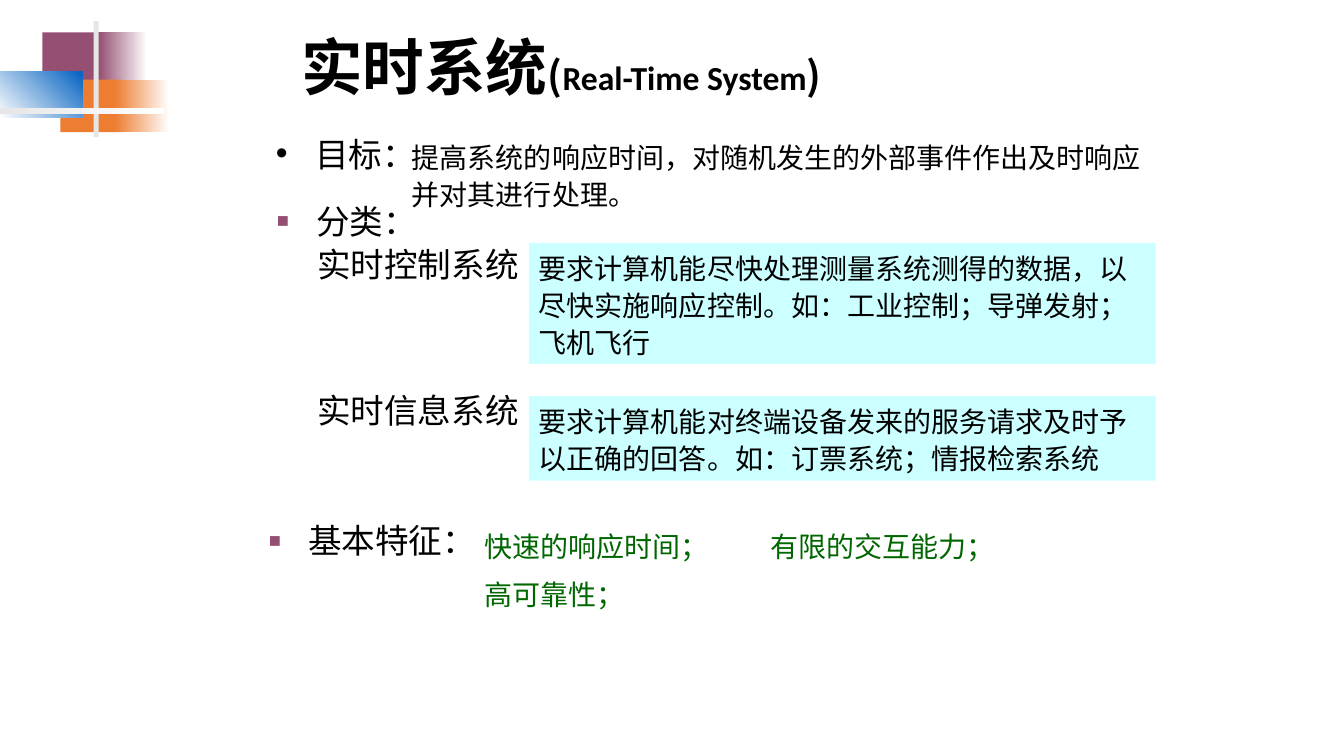
"""Build the slide on real-time systems."""
from lxml import etree
from pptx import Presentation
from pptx.dml.color import RGBColor
from pptx.enum.shapes import MSO_SHAPE
from pptx.enum.text import MSO_ANCHOR, PP_ALIGN
from pptx.oxml.ns import qn
from pptx.util import Inches, Pt

BLACK, GREEN, PURPLE, CYAN = "000000", "006600", "954F72", "CCFFFF"
ORANGE, BLUE, GREY, WHITE = "ED7D31", "0563C1", "E7E6E6", "FFFFFF"
CJK = "Noto Sans CJK SC"

DECOR = [
    ((0.42, 0.32, 0.64, 0.52), (PURPLE,), 0),
    ((0.98, 0.32, 0.48, 0.52), (PURPLE, WHITE), 0),
    ((0.6, 0.79, 0.61, 0.52), (ORANGE,), 0),
    ((1.14, 0.79, 0.54, 0.52), (ORANGE, WHITE), 0),
    ((0, 0.71, 0.82, 0.46), (WHITE, BLUE), 45),
    ((0.93, 0.21, 0.05, 1.15), (GREY,), 0),
    ((0, 1.07, 1.63, 0.06), (GREY, WHITE), 0),
]
TITLE = [("实时系统", 44, "Calibri"), ("(", 28, CJK),
         ("Real-Time System", 24, "Calibri"), (")", 28, CJK)]
HEADINGS = [
    ("目标：", (2.64, 1.39, 1.73, 0.39),
     dict(font="Calibri", spacing=0.7, bullet=("•", BLACK, 100))),
    ("分类：", (2.65, 2.02, 1.73, 0.47), dict(bullet=("■", PURPLE, 60))),
    ("基本特征：", (2.57, 5.19, 2.36, 0.47), dict(bullet=("■", PURPLE, 60))),
]
GOAL = "提高系统的响应时间，对随机发生的外部事件作出及时响应并对其进行处理。"
KINDS = [
    ("实时控制系统", 2.45,
     "要求计算机能尽快处理测量系统测得的数据，以尽快实施响应控制。如：工业控制；导弹发射；飞机飞行", 2.41, 1.2),
    ("实时信息系统", 3.9,
     "要求计算机能对终端设备发来的服务请求及时予以正确的回答。如：订票系统；情报检索系统", 3.93, 0.84),
]
FEATURES = [("快速的响应时间；", 4.71, 5.27, 2.42),
            ("有限的交互能力；", 7.55, 5.27, 2.42),
            ("高可靠性；", 4.71, 5.74, 1.59)]


def rgb(color):
    return RGBColor.from_string(color)


def add_rect(box, colors, angle=0):
    sp = s.shapes.add_shape(MSO_SHAPE.RECTANGLE, *map(Inches, box))
    sp.shadow.inherit = False
    sp.line.fill.background()
    if len(colors) == 1:
        sp.fill.solid()
        sp.fill.fore_color.rgb = rgb(colors[0])
    else:
        sp.fill.gradient()
        sp.fill.gradient_angle = angle
        for position, (stop, color) in enumerate(zip(sp.fill.gradient_stops, colors)):
            stop.position = position
            stop.color.rgb = rgb(color)
    return sp


def add_bullet(p, char, color, percent):
    pPr = p._p.get_or_add_pPr()
    pPr.set("marL", str(Inches(0.39)))
    pPr.set("indent", str(-Inches(0.39)))
    clr = etree.SubElement(pPr, qn("a:buClr"))
    etree.SubElement(clr, qn("a:srgbClr"), val=color)
    etree.SubElement(pPr, qn("a:buSzPct"), val=str(percent * 1000))
    etree.SubElement(pPr, qn("a:buFont"), typeface="Arial")
    etree.SubElement(pPr, qn("a:buChar"), char=char)


def add_run(p, text, size=24, font="Cabin", color=BLACK, bold=False):
    r = p.add_run()
    r.text = text
    r.font.size, r.font.name, r.font.bold = Pt(size), font, bold
    r.font.color.rgb = rgb(color)
    etree.SubElement(r.font._element, qn("a:ea"), typeface=CJK)


def write(sp, text, spacing=0.8, wrap=True, bullet=None, **style):
    tf = sp.text_frame
    tf.word_wrap = wrap
    tf.vertical_anchor = MSO_ANCHOR.TOP
    p = tf.paragraphs[0]
    if bullet:
        add_bullet(p, *bullet)
    p.alignment = PP_ALIGN.LEFT
    p.line_spacing = spacing
    add_run(p, text, **style)


def add_text(text, box, **style):
    write(s.shapes.add_textbox(*map(Inches, box)), text, **style)


prs = Presentation()
prs.slide_width, prs.slide_height = Inches(13.34), Inches(7.5)
s = prs.slides.add_slide(prs.slide_layouts[5])

for box, colors, angle in DECOR:
    add_rect(box, colors, angle)

title = s.shapes.title
title.left, title.top, title.width, title.height = map(Inches, (2.89, 0.21, 8.52, 0.97))
title.text_frame.vertical_anchor = MSO_ANCHOR.MIDDLE
p = title.text_frame.paragraphs[0]
p.alignment = PP_ALIGN.LEFT
p.line_spacing = 0.9
for text, size, font in TITLE:
    add_run(p, text, size=size, font=font, bold=True)

for text, box, style in HEADINGS:
    add_text(text, box, **style)
add_text(GOAL, (3.99, 1.31, 7.5, 0.84), size=20, spacing=1.1)
for text, left, top, width in FEATURES:
    add_text(text, (left, top, width, 0.37), size=20, color=GREEN, wrap=False)
for name, name_top, detail, top, height in KINDS:
    add_text(name, (3.05, name_top, 2.2, 0.42), wrap=False)
    write(add_rect((5.25, top, 6.22, height), (CYAN,)), detail, size=20, spacing=1.1)

prs.save("out.pptx")
